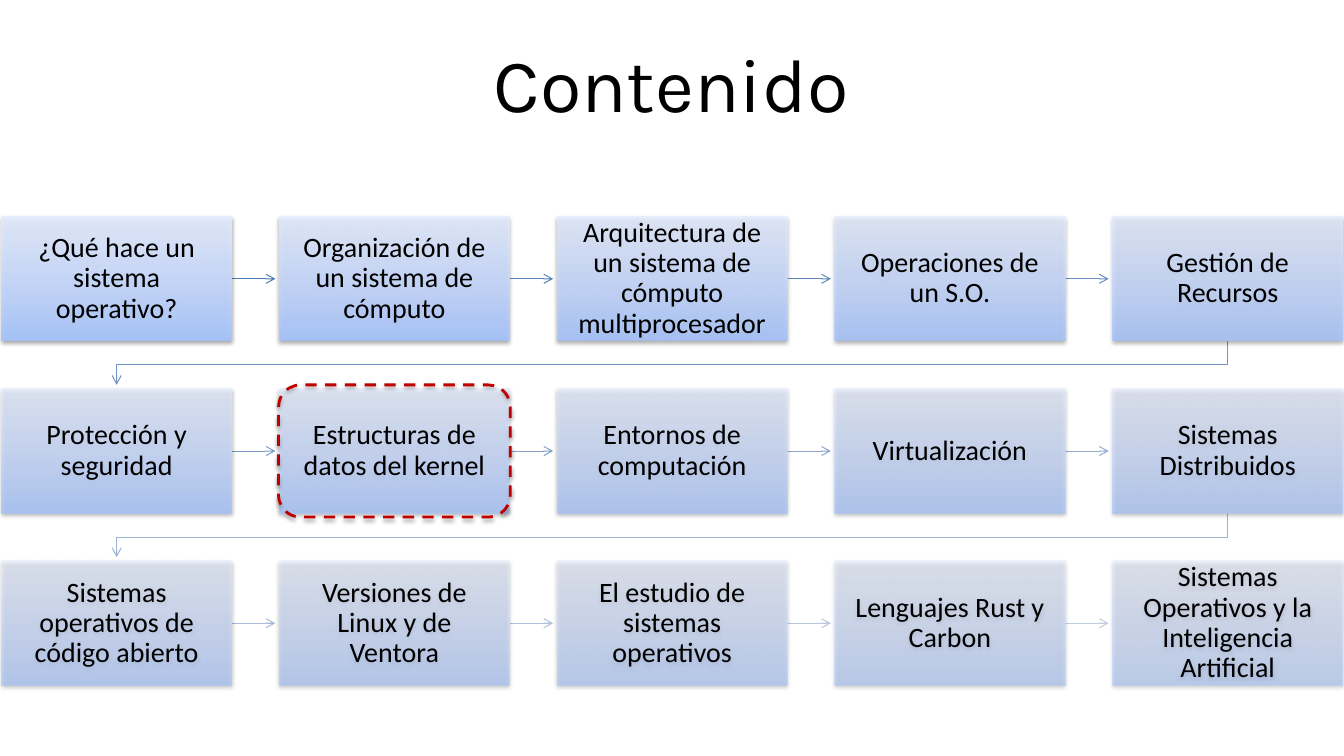
import pptx
import pptx.dml.color
import pptx.enum.dml
import pptx.enum.shapes
import pptx.enum.text
import pptx.oxml
import pptx.oxml.ns
import pptx.util

Cm = pptx.util.Cm
Pt = pptx.util.Pt
RGBColor = pptx.dml.color.RGBColor
SHAPES = pptx.enum.shapes.MSO_SHAPE
qn = pptx.oxml.ns.qn
NAMESPACE = pptx.oxml.ns.nsdecls("a")

COLORS = {
    "text": "000000",
    "box_bottom": "A4C4FF",
    "box_middle": "BFD4FF",
    "box_top": "E6EEFF",
    "first_arrow": "4B7BB5",
    "last_arrow": "C2CDE1",
    "highlight": "C00000",
}

TOPICS = [
    "¿Qué hace un sistema operativo?",
    "Organización de un sistema de cómputo",
    "Arquitectura de un sistema de cómputo multiprocesador",
    "Operaciones de un S.O.",
    "Gestión de Recursos",
    "Protección y seguridad",
    "Estructuras de datos del kernel",
    "Entornos de computación",
    "Virtualización",
    "Sistemas Distribuidos",
    "Sistemas operativos de código abierto",
    "Versiones de Linux y de Ventora",
    "El estudio de sistemas operativos",
    "Lenguajes Rust y Carbon",
    "Sistemas Operativos y la Inteligencia Artificial",
]
HIGHLIGHTED = 6
COLUMNS = 5
LEFT, TOP = 0.04, 5.46
WIDTH, HEIGHT = 5.8, 3.13
COLUMN_STEP, ROW_STEP = 7, 4.34
ARROW_GAP = 0.1


def blend_arrow_color(share):
    first = RGBColor.from_string(COLORS["first_arrow"])
    last = RGBColor.from_string(COLORS["last_arrow"])
    return RGBColor(*(round(a + (b - a) * share) for a, b in zip(first, last)))


class ContentSlide:
    def __init__(self, slide):
        self.shapes = slide.shapes

    def set_text(self, shape, text, font_name, size, inset):
        frame = shape.text_frame
        frame.word_wrap = True
        frame.vertical_anchor = pptx.enum.text.MSO_ANCHOR.MIDDLE
        frame.margin_left = frame.margin_right = Cm(inset)
        frame.margin_top = frame.margin_bottom = Cm(inset)
        paragraph = frame.paragraphs[0]
        paragraph.text = text
        paragraph.alignment = pptx.enum.text.PP_ALIGN.CENTER
        paragraph.font.name = font_name
        paragraph.font.size = Pt(size)
        paragraph.font.color.rgb = RGBColor.from_string(COLORS["text"])
        return paragraph

    def title(self, text):
        box = self.shapes.add_textbox(Cm(2.31), Cm(0.23), Cm(29.21), Cm(3.68))
        self.set_text(box, text, "Karla", 54, 0.25)

    def shadow(self, shape, distance, opacity):
        shape.shadow.inherit = False
        effects = shape._element.spPr.find(qn("a:effectLst"))
        effects.append(pptx.oxml.parse_xml(
            f'<a:outerShdw {NAMESPACE} blurRad="40000" dist="{distance}" dir="5400000" '
            f'rotWithShape="0"><a:srgbClr val="000000"><a:alpha val="{opacity * 1000}"/>'
            '</a:srgbClr></a:outerShdw>'))

    def box(self, left, top, text, opacity):
        shape = self.shapes.add_shape(
            SHAPES.RECTANGLE, Cm(left), Cm(top), Cm(WIDTH), Cm(HEIGHT))
        shape.fill.gradient()
        shape.fill.gradient_angle = 90
        stops = shape._element.spPr.find(".//" + qn("a:gsLst"))
        for stop in list(stops):
            stops.remove(stop)
        for position, name in ((0, "box_bottom"), (35, "box_middle"), (100, "box_top")):
            stops.append(pptx.oxml.parse_xml(
                f'<a:gs {NAMESPACE} pos="{position * 1000}"><a:srgbClr val="{COLORS[name]}">'
                f'<a:alpha val="{opacity * 1000}"/></a:srgbClr></a:gs>'))
        shape.line.fill.background()
        self.shadow(shape, 20000, 38)
        self.set_text(shape, text, "Calibri", 20, 0.4).line_spacing = 0.9

    def style_arrow(self, arrow, color):
        arrow.line.color.rgb = color
        arrow.line.width = Pt(0.75)
        arrow._element.spPr.find(qn("a:ln")).append(
            pptx.oxml.parse_xml(f'<a:tailEnd {NAMESPACE} type="arrow"/>'))

    def straight_arrow(self, start, end, y, color):
        arrow = self.shapes.add_connector(
            pptx.enum.shapes.MSO_CONNECTOR.STRAIGHT, Cm(start), Cm(y), Cm(end), Cm(y))
        self.style_arrow(arrow, color)
        arrow._element.spPr.append(pptx.oxml.parse_xml(f"<a:effectLst {NAMESPACE}/>"))

    def return_arrow(self, points, color):
        corners = [(Cm(x), Cm(y)) for x, y in points]
        builder = self.shapes.build_freeform(*corners[0])
        builder.add_line_segments(corners[1:], close=False)
        arrow = builder.convert_to_shape()
        arrow.fill.background()
        arrow.shadow.inherit = False
        self.style_arrow(arrow, color)

    def highlight(self, left, top):
        margin = 0.1
        frame = self.shapes.add_shape(
            SHAPES.ROUNDED_RECTANGLE, Cm(left - 0.02), Cm(top - margin),
            Cm(WIDTH + 0.04), Cm(HEIGHT + 2 * margin))
        frame.fill.background()
        frame.line.color.rgb = RGBColor.from_string(COLORS["highlight"])
        frame.line.width = Pt(2)
        frame.line.dash_style = pptx.enum.dml.MSO_LINE.DASH
        self.shadow(frame, 23000, 35)


def main():
    presentation = pptx.Presentation()
    presentation.slide_width = Cm(33.87)
    presentation.slide_height = Cm(19.05)
    content = ContentSlide(presentation.slides.add_slide(presentation.slide_layouts[6]))
    content.title("Contenido")

    last = len(TOPICS) - 1
    for index, topic in enumerate(TOPICS):
        row, column = divmod(index, COLUMNS)
        left = LEFT + column * COLUMN_STEP
        top = TOP + row * ROW_STEP
        right, bottom = left + WIDTH, top + HEIGHT
        if index < last:
            color = blend_arrow_color(index / (last - 1))
            if column < COLUMNS - 1:
                content.straight_arrow(
                    right, left + COLUMN_STEP - ARROW_GAP, top + HEIGHT / 2, color)
            else:
                next_top = top + ROW_STEP
                turn = (bottom + next_top) / 2
                start, end = left + WIDTH / 2, LEFT + WIDTH / 2
                content.return_arrow(
                    [(start, bottom), (start, turn), (end, turn),
                     (end, next_top - ARROW_GAP)], color)
        content.box(left, top, topic, round(90 - 40 * index / last))

    row, column = divmod(HIGHLIGHTED, COLUMNS)
    content.highlight(LEFT + column * COLUMN_STEP, TOP + row * ROW_STEP)
    presentation.save("out.pptx")


if __name__ == "__main__":
    main()
